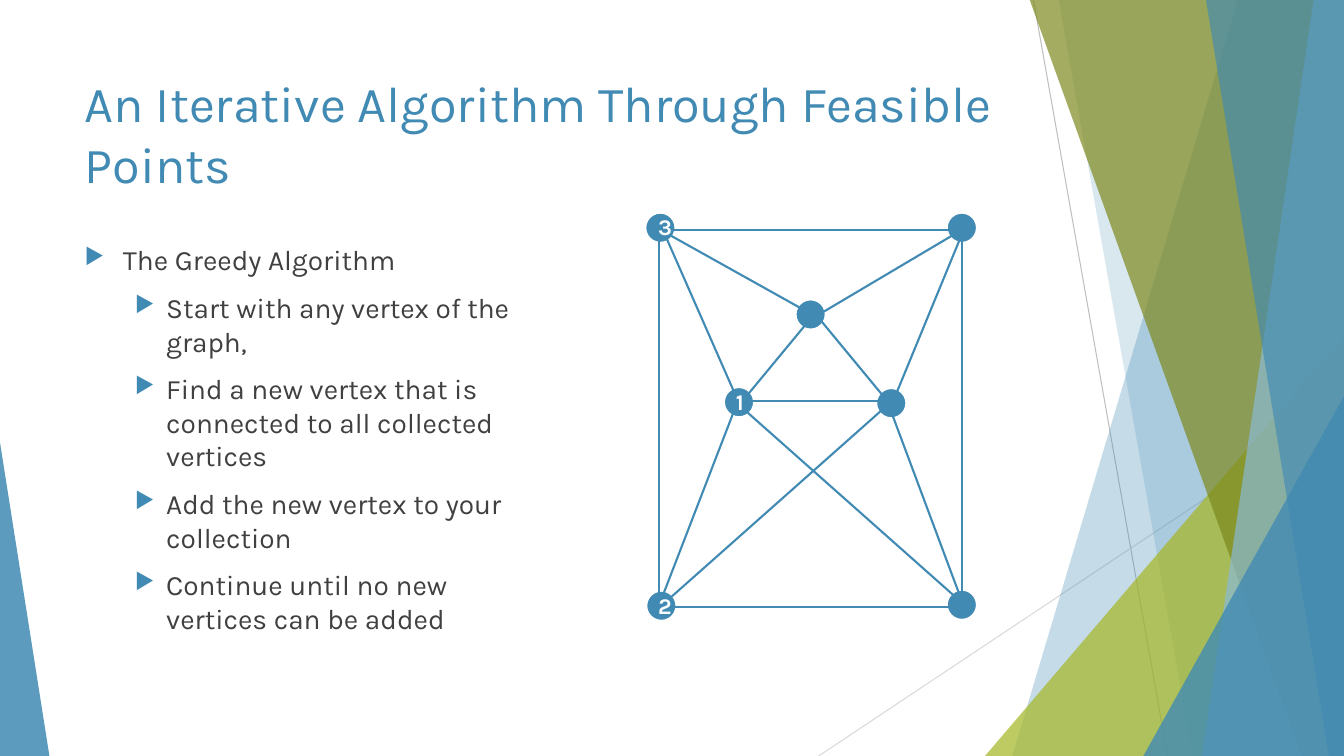
from dataclasses import dataclass

from lxml import etree
from pptx import Presentation
from pptx import util as u
from pptx.dml.color import RGBColor
from pptx.enum import shapes, text
from pptx.oxml import ns

PX = 9144  # EMU in one px, 100 px to the inch
WIDTH, HEIGHT = 1333, 750
FONT = "Karla"
COLORS = {
    "blue": "418AB3", "sky": "8ABAD4", "lime": "A6B727", "olive": "7D891D",
    "body": "404040", "white": "FFFFFF", "label": "FEFEFE",
    "gray": "BFBFBF", "pale": "D9D9D9",
}


@dataclass
class Band:
    """A stripe from the top edge to the bottom edge, reaching the right side."""
    top_x: int
    bottom_x: int
    color: str
    alpha: int


@dataclass
class Corner:
    """A right triangle standing on the bottom edge; peak is 0 left or 1 right."""
    x: int
    y: int
    w: int
    h: int
    peak: int
    color: str
    alpha: int


@dataclass
class Line:
    x1: int
    y1: int
    x2: int
    y2: int
    color: str = "blue"
    weight: float = 1.5


@dataclass
class Label:
    text: str
    x: int
    y: int


RULES = [Line(1025, 0, 1158, 750, "gray", 0.75), Line(1333, 403, 812, 750, "pale", 0.75)]
DECOR = [
    Band(1228, 1004, "blue", 30),
    Band(1050, 1183, "blue", 20),
    Corner(977, 333, 356, 417, 1, "lime", 72),
    Band(1021, 1291, "olive", 70),
    Band(1303, 1192, "sky", 70),
    Band(1196, 1318, "blue", 65),
    Corner(1134, 393, 199, 357, 1, "blue", 80),
    Corner(0, 439, 49, 311, 0, "blue", 85),
]
TITLE = "An Iterative Algorithm Through Feasible Points"
BULLETS = [
    (0, "The Greedy Algorithm"),
    (1, "Start with any vertex of the graph,"),
    (1, "Find a new vertex that is connected to all collected vertices"),
    (1, "Add the new vertex to your collection"),
    (1, "Continue until no new vertices can be added"),
]
INDENTS = [(38, -38), (81, -31)]  # margin and first-line indent by level
VERTEX_SIZE = 30
VERTICES = [(939, 585), (641, 586), (718, 384), (869, 385), (939, 211), (789, 297), (640, 211)]
EDGES = [
    Line(655, 228, 800, 309), Line(814, 311, 954, 228), Line(654, 228, 960, 228),
    Line(648, 602, 954, 602), Line(731, 400, 655, 597), Line(955, 599, 880, 398),
    Line(654, 226, 654, 610), Line(954, 223, 954, 607), Line(660, 234, 733, 400),
    Line(731, 400, 953, 597), Line(879, 403, 657, 600), Line(809, 310, 728, 408),
    Line(805, 307, 886, 405), Line(955, 230, 885, 400), Line(726, 398, 886, 398),
]
LABELS = [Label("1", 720, 380), Label("2", 643, 583), Label("3", 643, 207)]


def rgb(color: str) -> RGBColor:
    return RGBColor.from_string(COLORS[color])


def emu(*px: int) -> list[int]:
    return [v * PX for v in px]


def sub(parent, tag: str, **attrs):
    return etree.SubElement(parent, ns.qn(tag), {k: str(v) for k, v in attrs.items()})


def fill_solid(sp, color: str, alpha: int = 100) -> None:
    sp.shadow.inherit = False
    sp.fill.solid()
    sp.fill.fore_color.rgb = rgb(color)
    if alpha < 100:
        clr = sp.fill._xPr.find(".//" + ns.qn("a:srgbClr"))
        sub(clr, "a:alpha", val=alpha * 1000)


def add_decor(s, part: Band | Corner) -> None:
    if isinstance(part, Band):
        fb = s.shapes.build_freeform(part.top_x, -1, scale=PX)
        fb.add_line_segments([(WIDTH, -1), (WIDTH, HEIGHT), (part.bottom_x, HEIGHT)])
        sp = fb.convert_to_shape()
    else:
        sp = s.shapes.add_shape(shapes.MSO_SHAPE.ISOSCELES_TRIANGLE,
                                *emu(part.x, part.y, part.w, part.h))
        sp.adjustments[0] = part.peak
    fill_solid(sp, part.color, part.alpha)
    sp.line.fill.background()


def add_line(s, line: Line) -> None:
    c = s.shapes.add_connector(shapes.MSO_CONNECTOR.STRAIGHT,
                               *emu(line.x1, line.y1, line.x2, line.y2))
    c.line.color.rgb = rgb(line.color)
    c.line.width = u.Pt(line.weight)
    sub(c._element.spPr, "a:effectLst")


def add_vertex(s, x: int, y: int) -> None:
    sp = s.shapes.add_shape(shapes.MSO_SHAPE.OVAL, *emu(x, y, VERTEX_SIZE, VERTEX_SIZE))
    fill_solid(sp, "blue")
    sp.line.color.rgb = rgb("white")
    sp.line.width = u.Pt(1.5)


def add_run(p, words: str, size: int, color: str, bold: bool = False):
    r = p.add_run()
    r.text = words
    r.font.name = FONT
    r.font.size = u.Pt(size)
    r.font.bold = bold
    r.font.color.rgb = rgb(color)
    return r


def set_title(s) -> None:
    title = s.shapes.title
    title.left, title.top, title.width, title.height = emu(74, 67, 940, 144)
    tf = title.text_frame
    tf.word_wrap = True
    tf.auto_size = text.MSO_AUTO_SIZE.NONE
    tf.vertical_anchor = text.MSO_ANCHOR.TOP
    p = tf.paragraphs[0]
    p.alignment = text.PP_ALIGN.LEFT
    add_run(p, TITLE, 36, "blue")
    title.element.getparent().append(title.element)  # in front of the decor


def add_bullets(s) -> None:
    tf = s.shapes.add_textbox(*emu(74, 236, 452, 424)).text_frame
    tf.word_wrap = True
    for i, (level, words) in enumerate(BULLETS):
        p = tf.add_paragraph() if i else tf.paragraphs[0]
        p.level = level
        p.space_before = u.Pt(10)
        pPr = p._p.get_or_add_pPr()
        margin, indent = emu(*INDENTS[level])
        pPr.set("marL", str(margin))
        pPr.set("indent", str(indent))
        sub(sub(pPr, "a:buClr"), "a:srgbClr", val=COLORS["blue"])
        sub(pPr, "a:buSzPct", val=80000)
        sub(pPr, "a:buChar", char="▶")
        add_run(p, words, 20, "body")


def add_label(s, label: Label) -> None:
    """Number a vertex with outlined, slightly spaced text."""
    tf = s.shapes.add_textbox(*emu(label.x, label.y, 25, 37)).text_frame
    tf.word_wrap = True
    tf.auto_size = text.MSO_AUTO_SIZE.SHAPE_TO_FIT_TEXT
    p = tf.paragraphs[0]
    p.alignment = text.PP_ALIGN.CENTER
    rPr = add_run(p, label.text, 16, "label", bold=True).font._element
    rPr.set("spc", "50")
    ln = sub(rPr, "a:ln", w=u.Pt(0.75))
    sub(sub(ln, "a:solidFill"), "a:srgbClr", val=COLORS["blue"])
    rPr.insert(0, ln)


def main() -> None:
    prs = Presentation()
    prs.slide_width, prs.slide_height = emu(WIDTH, HEIGHT)
    s = prs.slides.add_slide(prs.slide_layouts[5])
    for rule in RULES:
        add_line(s, rule)
    for part in DECOR:
        add_decor(s, part)
    set_title(s)
    add_bullets(s)
    for x, y in VERTICES:
        add_vertex(s, x, y)
    for edge in EDGES:
        add_line(s, edge)
    for label in LABELS:
        add_label(s, label)
    prs.save("out.pptx")


if __name__ == "__main__":
    main()
